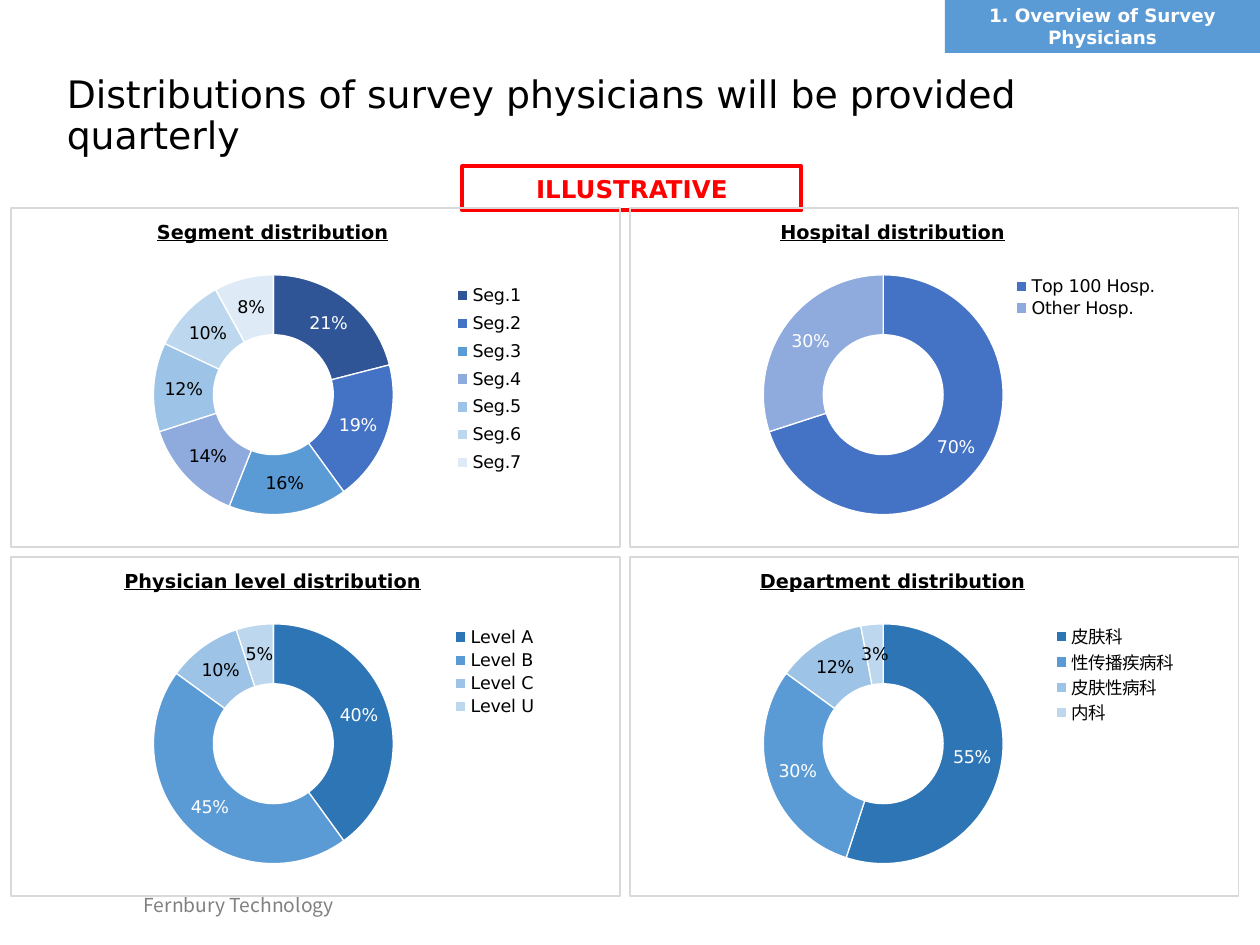
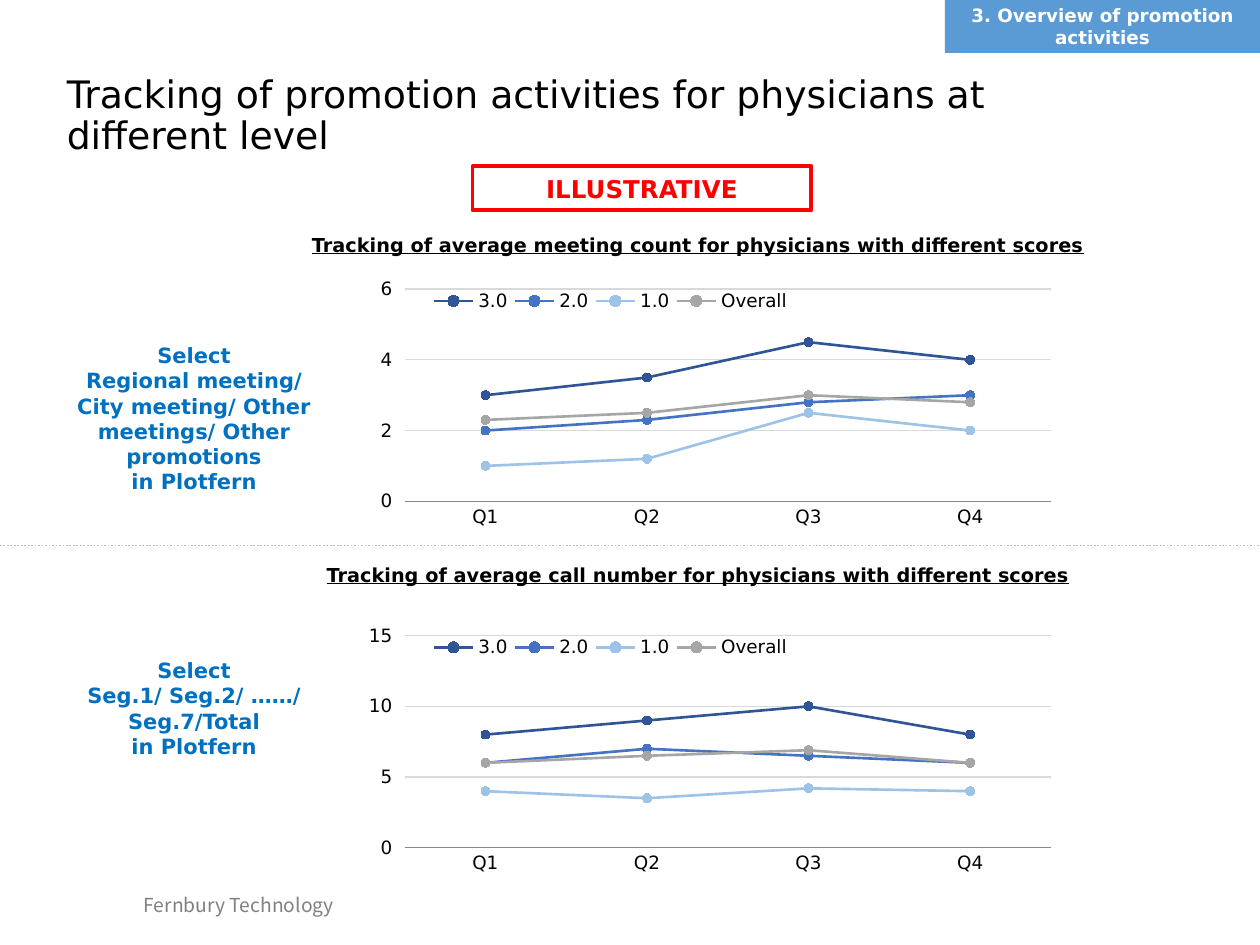
from lxml import etree
from pptx import Presentation
from pptx.chart.data import CategoryChartData
from pptx.dml.color import RGBColor
from pptx.enum.chart import XL_CHART_TYPE, XL_LEGEND_POSITION, XL_MARKER_STYLE, XL_TICK_MARK
from pptx.enum.dml import MSO_LINE
from pptx.enum.shapes import MSO_CONNECTOR, MSO_SHAPE
from pptx.enum.text import MSO_ANCHOR, MSO_AUTO_SIZE, PP_ALIGN
from pptx.oxml.ns import qn
from pptx.util import Inches, Pt

DOUGHNUT, LINE_MARKERS = XL_CHART_TYPE.DOUGHNUT, XL_CHART_TYPE.LINE_MARKERS
LEGEND_RIGHT = XL_LEGEND_POSITION.RIGHT
CIRCLE = XL_MARKER_STYLE.CIRCLE
NO_TICK, TICK_OUT = XL_TICK_MARK.NONE, XL_TICK_MARK.OUTSIDE
DOTTED = MSO_LINE.ROUND_DOT
STRAIGHT, RECTANGLE = MSO_CONNECTOR.STRAIGHT, MSO_SHAPE.RECTANGLE
MIDDLE, TOP = MSO_ANCHOR.MIDDLE, MSO_ANCHOR.TOP
LEFT, CENTER = PP_ALIGN.LEFT, PP_ALIGN.CENTER

FONT, CJK_FONT = "DejaVu Sans", "Noto Sans CJK SC"
BLACK = RGBColor(0x00, 0x00, 0x00)
WHITE = RGBColor(0xFF, 0xFF, 0xFF)
RED = RGBColor(0xFF, 0x00, 0x00)
NOTE_BLUE = RGBColor(0x00, 0x70, 0xC0)
NAVY = RGBColor(0x2F, 0x55, 0x97)
ROYAL = RGBColor(0x44, 0x72, 0xC4)
OCEAN = RGBColor(0x2E, 0x75, 0xB6)
BLUE = RGBColor(0x5B, 0x9B, 0xD5)
PERIWINKLE = RGBColor(0x8F, 0xAA, 0xDC)
SKY = RGBColor(0x9D, 0xC3, 0xE6)
PALE = RGBColor(0xBD, 0xD7, 0xEE)
ICE = RGBColor(0xDE, 0xEB, 0xF7)
FOOTER_GRAY = RGBColor(0x80, 0x80, 0x80)
AXIS_GRAY = RGBColor(0x89, 0x89, 0x89)
SERIES_GRAY = RGBColor(0xA6, 0xA6, 0xA6)
DIVIDER_GRAY = RGBColor(0xBF, 0xBF, 0xBF)
GRID_GRAY = RGBColor(0xD9, 0xD9, 0xD9)

SLIDE_WIDTH, SLIDE_HEIGHT = 10, 7.5
FOOTER = "Fernbury Technology"

# Legend boxes and plot areas are shares of the chart: left, top, width, height.
DISTRIBUTIONS = [
    dict(heading="Segment distribution", legend=(0.76, 0.1, 0.16, 0.72), font=FONT,
         shares=[("Seg.1", 0.21, NAVY), ("Seg.2", 0.19, ROYAL), ("Seg.3", 0.16, BLUE),
                 ("Seg.4", 0.14, PERIWINKLE), ("Seg.5", 0.12, SKY),
                 ("Seg.6", 0.1, PALE), ("Seg.7", 0.08, ICE)]),
    dict(heading="Hospital distribution", legend=(0.67, 0.09, 0.29, 0.16), font=FONT,
         shares=[("Top 100 Hosp.", 0.7, ROYAL), ("Other Hosp.", 0.3, PERIWINKLE)]),
    dict(heading="Physician level distribution", legend=(0.76, 0.09, 0.18, 0.34), font=FONT,
         shares=[("Level A", 0.4, OCEAN), ("Level B", 0.45, BLUE),
                 ("Level C", 0.1, SKY), ("Level U", 0.05, PALE)]),
    dict(heading="Department distribution", legend=(0.74, 0.09, 0.26, 0.36), font=CJK_FONT,
         shares=[("皮肤科", 0.55, OCEAN), ("性传播疾病科", 0.3, BLUE),
                 ("皮肤性病科", 0.12, SKY), ("内科", 0.03, PALE)]),
]
WHITE_LABELS = 2
DOUGHNUT_PLOT = (0.21, 0.08, 0.45, 0.87)
PANEL_COLUMNS = [dict(panel=0.09, heading=0.08, chart=0.33),
                 dict(panel=5, heading=5, chart=5.17)]
PANEL_TOP, PANEL_PITCH = 1.65, 2.77

QUARTERS = ["Q1", "Q2", "Q3", "Q4"]
SCORES = [("3.0", NAVY), ("2.0", ROYAL), ("1.0", SKY), ("Overall", SERIES_GRAY)]
TRACKINGS = [
    dict(heading="Tracking of average meeting count for physicians with different scores",
         heading_top=1.8, chart_top=2.17, note_top=2.67, note_height=1.31, top_value=6, step=2,
         note=["Select", "Regional meeting/ City meeting/ Other meetings/ Other promotions",
               "in Plotfern"],
         values=[(3, 3.5, 4.5, 4), (2, 2.3, 2.8, 3), (1, 1.2, 2.5, 2), (2.3, 2.5, 3, 2.8)]),
    dict(heading="Tracking of average call number for physicians with different scores",
         heading_top=4.42, chart_top=4.92, note_top=5.17, note_height=0.91, top_value=15, step=5,
         note=["Select", "Seg.1/ Seg.2/ ……/ Seg.7/Total", "in Plotfern"],
         values=[(8, 9, 10, 8), (6, 7, 6.5, 6), (4, 3.5, 4.2, 4), (6, 6.5, 6.9, 6)]),
]
TRACKING_PLOT = (0.05, 0.06, 0.88, 0.81)
TRACKING_LEGEND = (0.08, 0.06, 0.5, 0.09)
DIVIDER_TOP = 4.33


def inches(*lengths):
    return [Inches(length) for length in lengths]


def set_font(font, size, color=BLACK, bold=False, underline=False, name=FONT):
    font.size, font.name, font.bold, font.underline = Pt(size), name, bold, underline
    font.color.rgb = color


def write(frame, lines, size, align=CENTER, anchor=TOP, **font):
    frame.word_wrap = True
    frame.vertical_anchor = anchor
    for index, line in enumerate(lines):
        paragraph = frame.add_paragraph() if index else frame.paragraphs[0]
        paragraph.text = line
        paragraph.alignment = align
        set_font(paragraph.font, size, **font)


def add_text(slide, box, lines, size, **style):
    write(slide.shapes.add_textbox(*inches(*box)).text_frame, lines, size, **style)


def add_heading(slide, box, heading):
    add_text(slide, box, [heading], 11, bold=True, underline=True)


def add_rectangle(slide, box, fill=None, line=None, width=1):
    rectangle = slide.shapes.add_shape(RECTANGLE, *inches(*box))
    rectangle.shadow.inherit = False
    if fill is None:
        rectangle.fill.background()
    else:
        rectangle.fill.solid()
        rectangle.fill.fore_color.rgb = fill
    if line is None:
        rectangle.line.fill.background()
    else:
        rectangle.line.color.rgb = line
        rectangle.line.width = Pt(width)
    return rectangle


def add_base_slide(deck, title, title_width, section, stamp_left):
    """Add a slide with its title, section band, illustrative stamp and footer."""
    slide = deck.slides.add_slide(deck.slide_layouts[5])
    add_text(slide, (1.04, 7.04, 2.35, 0.29), [FOOTER], 11,
             align=LEFT, color=FOOTER_GRAY, name=CJK_FONT)

    heading = slide.shapes.title
    heading.left, heading.top, heading.width, heading.height = inches(0.43, 0.53, title_width, 0.8)
    write(heading.text_frame, [title], 21.6, align=LEFT, anchor=MIDDLE)
    heading.text_frame.auto_size = MSO_AUTO_SIZE.NONE
    heading.text_frame.paragraphs[0].line_spacing = 0.9

    stamp = add_rectangle(slide, (stamp_left, 1.32, 2.69, 0.35), WHITE, RED, 2.25)
    white = stamp.element.spPr.find(qn("a:solidFill"))[0]
    etree.SubElement(white, qn("a:alpha")).set("val", "82000")
    write(stamp.text_frame, ["ILLUSTRATIVE"], 14, anchor=MIDDLE, color=RED, bold=True)

    band = add_rectangle(slide, (0.75 * SLIDE_WIDTH, 0, 0.25 * SLIDE_WIDTH, 0.42), BLUE)
    write(band.text_frame, [section], 10.5, anchor=MIDDLE, color=WHITE, bold=True)
    return slide


def make_layout(box, inner=False):
    layout = etree.Element(qn("c:layout"))
    manual = etree.SubElement(layout, qn("c:manualLayout"))
    settings = [("layoutTarget", "inner")] if inner else []
    settings += [("xMode", "edge"), ("yMode", "edge"), *zip("xywh", box)]
    for tag, value in settings:
        etree.SubElement(manual, qn(f"c:{tag}")).set("val", str(value))
    return layout


def add_base_chart(slide, kind, box, data, font_size, plot_box, legend_box, overlay):
    """Add a chart whose plot area and legend sit at fixed places."""
    chart = slide.shapes.add_chart(kind, *inches(*box), data).chart
    chart.has_title = False
    set_font(chart.font, font_size)
    chart.has_legend = True
    chart.legend.position = LEGEND_RIGHT
    chart.legend.include_in_layout = overlay
    for old in chart.element.xpath(".//c:plotArea/c:layout | .//c:legend/c:layout"):
        old.getparent().remove(old)
    chart.element.xpath(".//c:plotArea")[0].insert(0, make_layout(plot_box, inner=True))
    chart.element.xpath(".//c:legendPos")[0].addnext(make_layout(legend_box))
    return chart


def add_doughnut(slide, left, top, distribution):
    names, values, colors = zip(*distribution["shares"])
    data = CategoryChartData(number_format="0%")
    data.categories = names
    data.add_series("Series 1", values)
    chart = add_base_chart(slide, DOUGHNUT, (left, top, 4.23, 2.24), data, 18,
                           DOUGHNUT_PLOT, distribution["legend"], False)
    set_font(chart.legend.font, 10, name=distribution["font"])
    chart.element.xpath(".//c:holeSize")[0].set("val", "41")

    series = chart.plots[0].series[0]
    labels = series.data_labels
    labels.show_value = True
    labels.number_format, labels.number_format_is_linked = "0%", False
    set_font(labels.font, 10)
    for index, color in enumerate(colors):
        point = series.points[index]
        point.format.fill.solid()
        point.format.fill.fore_color.rgb = color
        point.format.line.color.rgb = WHITE
        point.format.line.width = Pt(0.75)
        if index < WHITE_LABELS:
            set_font(point.data_label.font, 10, color=WHITE)


def add_tracking_chart(slide, tracking):
    data = CategoryChartData()
    data.categories = QUARTERS
    for (name, _), values in zip(SCORES, tracking["values"]):
        data.add_series(name, values)
    chart = add_base_chart(slide, LINE_MARKERS, (2.92, tracking["chart_top"], 5.83, 2.08), data,
                           10.5, TRACKING_PLOT, TRACKING_LEGEND, True)
    set_font(chart.legend.font, 10.5)

    chart.category_axis.major_tick_mark = NO_TICK
    chart.category_axis.format.line.color.rgb = AXIS_GRAY
    counts = chart.value_axis
    counts.minimum_scale, counts.maximum_scale = 0, tracking["top_value"]
    counts.major_unit = tracking["step"]
    counts.major_tick_mark = TICK_OUT
    counts.format.line.fill.background()
    counts.major_gridlines.format.line.color.rgb = GRID_GRAY
    counts.major_gridlines.format.line.width = Pt(0.75)

    chart.plots[0].vary_by_categories = False
    for series, (_, color) in zip(chart.plots[0].series, SCORES):
        series.smooth = False
        series.format.line.color.rgb = color
        series.format.line.width = Pt(1.5)
        series.marker.style, series.marker.size = CIRCLE, 5
        series.marker.format.fill.solid()
        series.marker.format.fill.fore_color.rgb = color
        series.marker.format.line.color.rgb = color


def build_distributions(deck):
    slide = add_base_slide(deck, "Distributions of survey physicians will be provided quarterly",
                           8.84, "1. Overview of Survey Physicians", 3.67)
    for index, distribution in enumerate(DISTRIBUTIONS):
        row, column = divmod(index, len(PANEL_COLUMNS))
        top, lefts = PANEL_TOP + row * PANEL_PITCH, PANEL_COLUMNS[column]
        add_rectangle(slide, (lefts["panel"], top, 4.83, 2.69), line=GRID_GRAY)
        add_heading(slide, (lefts["heading"], top + 0.05, 4.17, 0.29), distribution["heading"])
        add_doughnut(slide, lefts["chart"], top + 0.33, distribution)


def build_trackings(deck):
    slide = add_base_slide(
        deck, "Tracking of promotion activities for physicians at different level",
        8.15, "3. Overview of promotion activities", 3.75)
    for tracking in TRACKINGS:
        add_heading(slide, (2.33, tracking["heading_top"], 6.42, 0.29), tracking["heading"])
        add_tracking_chart(slide, tracking)
        add_text(slide, (0.5, tracking["note_top"], 2.08, tracking["note_height"]),
                 tracking["note"], 12, color=NOTE_BLUE, bold=True)
    divider = slide.shapes.add_connector(
        STRAIGHT, *inches(0, DIVIDER_TOP, SLIDE_WIDTH, DIVIDER_TOP))
    divider.line.color.rgb = DIVIDER_GRAY
    divider.line.width = Pt(1)
    divider.line.dash_style = DOTTED
    etree.SubElement(divider.element.spPr, qn("a:effectLst"))


def main():
    deck = Presentation()
    deck.slide_width, deck.slide_height = inches(SLIDE_WIDTH, SLIDE_HEIGHT)
    build_distributions(deck)
    build_trackings(deck)
    deck.save("out.pptx")


if __name__ == "__main__":
    main()
